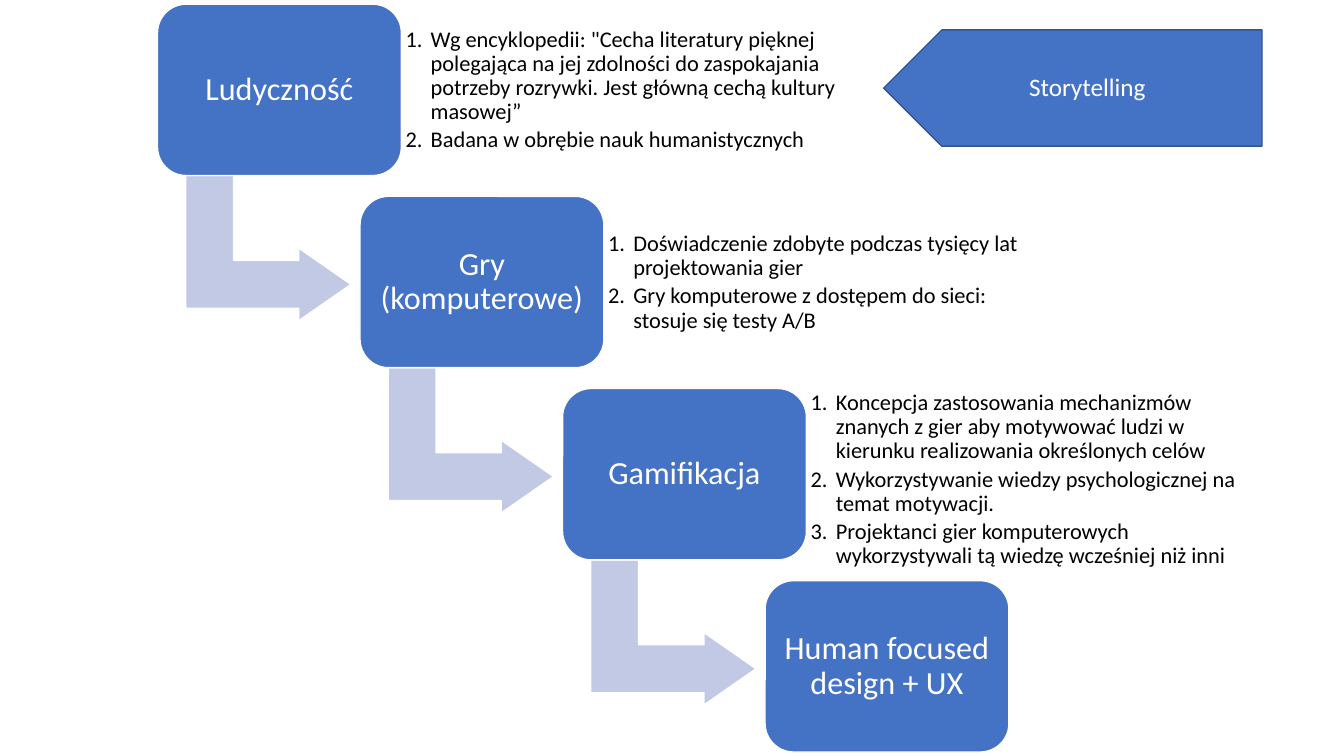
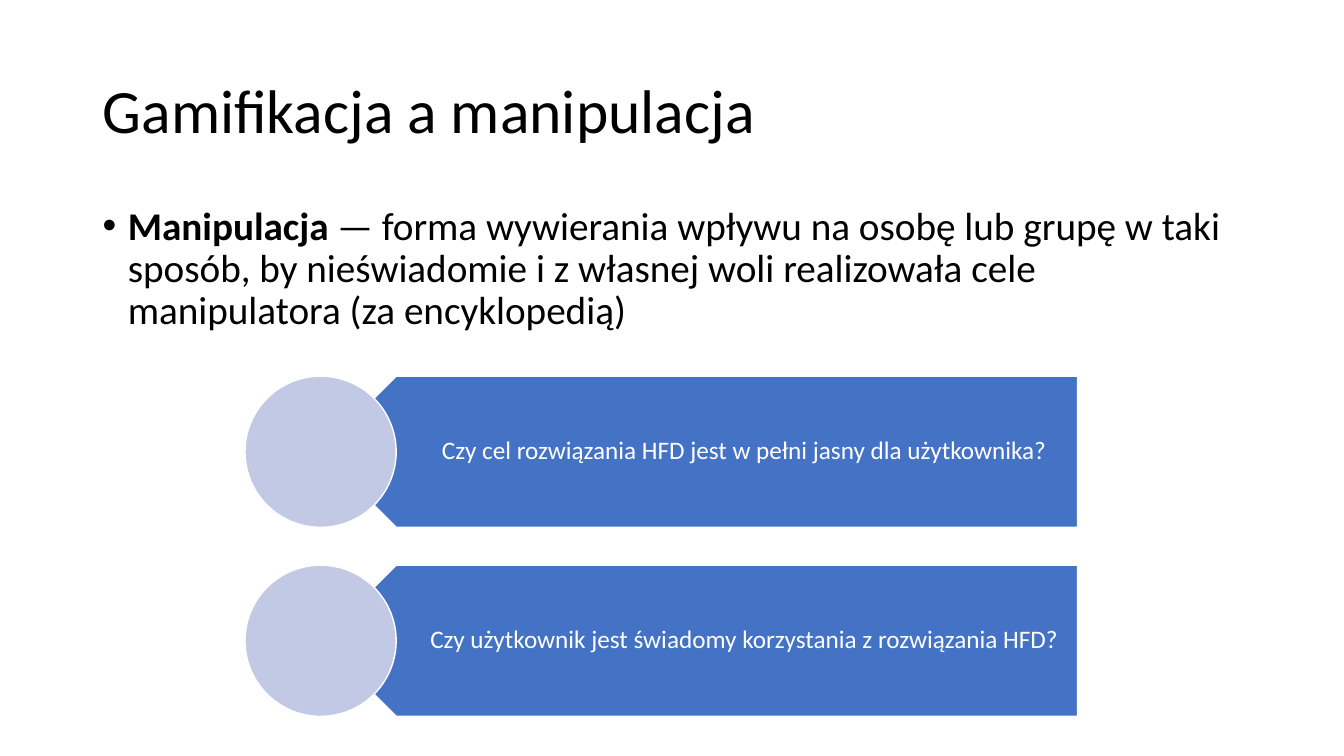
from collections import namedtuple

from lxml import etree
from pptx import Presentation
from pptx.dml.color import RGBColor
from pptx.enum.shapes import MSO_SHAPE
from pptx.enum.text import MSO_ANCHOR, MSO_AUTO_SIZE, PP_ALIGN
from pptx.oxml.ns import qn
from pptx.util import Pt

ROUNDED = MSO_SHAPE.ROUNDED_RECTANGLE
BENT_ARROW = MSO_SHAPE.BENT_UP_ARROW
PENTAGON = MSO_SHAPE.PENTAGON
CIRCLE = MSO_SHAPE.OVAL
MIDDLE, TOP = MSO_ANCHOR.MIDDLE, MSO_ANCHOR.TOP
CENTER, LEFT = PP_ALIGN.CENTER, PP_ALIGN.LEFT

Box = namedtuple("Box", "left top width height")

# Shared look
FONT = "Calibri"
BLUE, DARK_BLUE, PALE_BLUE = "4472C4", "325491", "C1C9E4"
WHITE, BLACK = "FFFFFF", "000000"
TITLE_ONLY, BLANK = 5, 6
MARGIN = 66.25
CONTENT_WIDTH = 828
TITLE_BOX = Box(MARGIN, 28.75, CONTENT_WIDTH, 104.4)
HANGING_INDENT = 18

# Step, its numbered notes, and the notes' width, height and offset from the step's top
STEPS = [
    ("Ludyczność", [
        "Wg encyklopedii: \"Cecha literatury pięknej polegająca na jej zdolności do "
        "zaspokajania potrzeby rozrywki. Jest główną cechą kultury masowej”",
        "Badana w obrębie nauk humanistycznych",
    ], (329, 98.9, 12)),
    ("Gry (komputerowe)", [
        "Doświadczenie zdobyte podczas tysięcy lat projektowania gier",
        "Gry komputerowe z dostępem do sieci: stosuje się testy A/B",
    ], (312, 98.9, 12)),
    ("Gamifikacja", [
        "Koncepcja zastosowania mechanizmów znanych z gier aby motywować ludzi "
        "w kierunku realizowania określonych celów",
        "Wykorzystywanie wiedzy psychologicznej na temat motywacji.",
        "Projektanci gier komputerowych wykorzystywali tą wiedzę wcześniej niż inni",
    ], (325.5, 144.7, -7.2)),
    ("Human focused design + UX", [], None),
]

QUESTIONS = [
    "Czy cel rozwiązania HFD jest w pełni jasny dla użytkownika?",
    "Czy użytkownik jest świadomy korzystania z rozwiązania HFD?",
]


def color(hex_string):
    return RGBColor.from_string(hex_string)


def points(box):
    return [Pt(length) for length in box]


def add_filled_shape(slide, kind, box, fill, line=WHITE):
    shape = slide.shapes.add_shape(kind, *points(box))
    shape.shadow.inherit = False
    shape.fill.solid()
    shape.fill.fore_color.rgb = color(fill)
    shape.line.color.rgb = color(line)
    shape.line.width = Pt(1)
    return shape


def set_frame(shape, anchor, insets=(7.2, 3.6, 7.2, 3.6)):
    frame = shape.text_frame
    frame.word_wrap = True
    frame.auto_size = MSO_AUTO_SIZE.NONE
    frame.vertical_anchor = anchor
    (frame.margin_left, frame.margin_top,
     frame.margin_right, frame.margin_bottom) = points(insets)
    return frame


def format_paragraph(paragraph, size, text_color, alignment=LEFT):
    paragraph.alignment = alignment
    paragraph.line_spacing = 0.9
    for run in paragraph.runs:
        run.font.name = FONT
        run.font.size = Pt(size)
        run.font.color.rgb = color(text_color)


def write_label(shape, text, size, insets=(7.2, 3.6, 7.2, 3.6)):
    frame = set_frame(shape, MIDDLE, insets)
    frame.text = text
    format_paragraph(frame.paragraphs[0], size, WHITE, CENTER)


def add_marker(paragraph, tag, **attributes):
    properties = paragraph._p.get_or_add_pPr()
    properties.set("marL", str(Pt(HANGING_INDENT)))
    properties.set("indent", str(-Pt(HANGING_INDENT)))
    etree.SubElement(properties, qn("a:buFont"), typeface="Arial" if tag == "a:buChar" else FONT)
    etree.SubElement(properties, qn(tag), **attributes)


def add_left_pentagon(slide, box, line=WHITE):
    pentagon = add_filled_shape(slide, PENTAGON, box, BLUE, line)
    pentagon._element.spPr.find(qn("a:xfrm")).set("flipH", "1")
    return pentagon


def add_step_arrow(slide, step):
    width, height = 103.7, 118.1
    box = Box(step.left + 27.3, step.top + 115.2, width, height)
    arrow = add_filled_shape(slide, BENT_ARROW, box, PALE_BLUE)
    arrow.rotation = 90
    for index, value in enumerate((0.33, 0.25, 0.36)):
        arrow.adjustments[index] = value


def add_notes_list(slide, box, notes):
    text_box = slide.shapes.add_textbox(*points(box))
    frame = set_frame(text_box, MIDDLE, (3, 3, 3, 3))
    frame.text = "\n".join(notes)
    for paragraph in frame.paragraphs:
        format_paragraph(paragraph, 16, BLACK)
        paragraph.space_after = Pt(3)
        add_marker(paragraph, "a:buAutoNum", type="arabicPeriod")


def add_staircase(slide, box):
    step_width, step_height = 174.2, 122.4
    gaps = len(STEPS) - 1
    step_right = (box.width - step_width) / gaps
    step_down = (box.height - step_height) / gaps
    for index, (label, notes, notes_size) in enumerate(STEPS):
        step = Box(box.left + index * step_right, box.top + index * step_down,
                   step_width, step_height)
        if index < gaps:
            add_step_arrow(slide, step)
        rectangle = add_filled_shape(slide, ROUNDED, step, BLUE)
        write_label(rectangle, label, 23, (7, 7, 7, 7))
        if notes:
            width, height, offset = notes_size
            notes_box = Box(step.left + step_width, step.top + offset, width, height)
            add_notes_list(slide, notes_box, notes)


def add_title(slide, text):
    title = slide.shapes.title
    title.left, title.top, title.width, title.height = points(TITLE_BOX)
    frame = set_frame(title, MIDDLE)
    frame.text = text
    format_paragraph(frame.paragraphs[0], 44, BLACK)


def add_definition(slide, box, term, explanation):
    text_box = slide.shapes.add_textbox(*points(box))
    paragraph = set_frame(text_box, TOP).paragraphs[0]
    for text, bold in ((term, True), (explanation, False)):
        run = paragraph.add_run()
        run.text = text
        run.font.bold = bold
    format_paragraph(paragraph, 28, BLACK)
    paragraph.space_before = Pt(10)
    add_marker(paragraph, "a:buChar", char="•")


def add_question_list(slide, box):
    row_height = 108
    pitch = (box.height - row_height) / (len(QUESTIONS) - 1)
    for index, question in enumerate(QUESTIONS):
        top = box.top + index * pitch
        # The banner starts under the centre of the circle
        banner = Box(box.left + row_height / 2, top, box.width - row_height / 2, row_height)
        pentagon = add_left_pentagon(slide, banner)
        write_label(pentagon, question, 18, (47.5, 5, 10, 5))
        add_filled_shape(slide, CIRCLE, Box(box.left, top, row_height, row_height), PALE_BLUE)


def build_staircase_slide(presentation):
    slide = presentation.slides.add_slide(presentation.slide_layouts[BLANK])
    add_staircase(slide, Box(112.5, 3, 608.2, 534.2))
    pentagon = add_left_pentagon(slide, Box(631.3, 21.4, 270.2, 83), DARK_BLUE)
    write_label(pentagon, "Storytelling", 18)


def build_manipulation_slide(presentation):
    slide = presentation.slides.add_slide(presentation.slide_layouts[TITLE_ONLY])
    add_title(slide, "Gamifikacja a manipulacja")
    add_definition(
        slide, Box(MARGIN, 143.75, CONTENT_WIDTH, 114.5), "Manipulacja",
        " — forma wywierania wpływu na osobę lub grupę w taki sposób, by nieświadomie "
        "i z własnej woli realizowała cele manipulatora (za encyklopedią)")
    add_question_list(slide, Box(175, 268.7, 594.7, 243))


def main():
    presentation = Presentation()
    presentation.slide_width, presentation.slide_height = Pt(960), Pt(540)
    build_staircase_slide(presentation)
    build_manipulation_slide(presentation)
    presentation.save("out.pptx")


if __name__ == "__main__":
    main()
